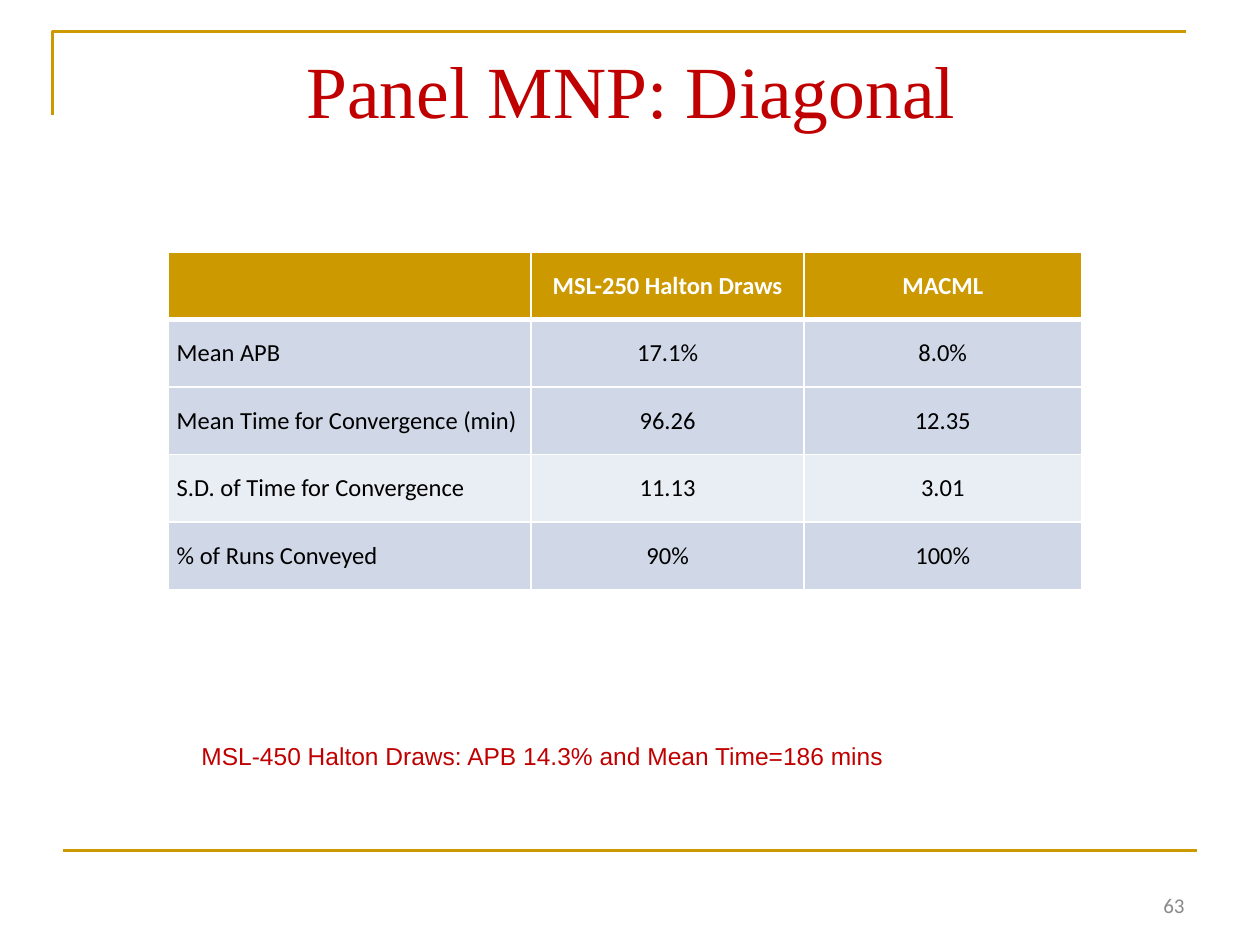
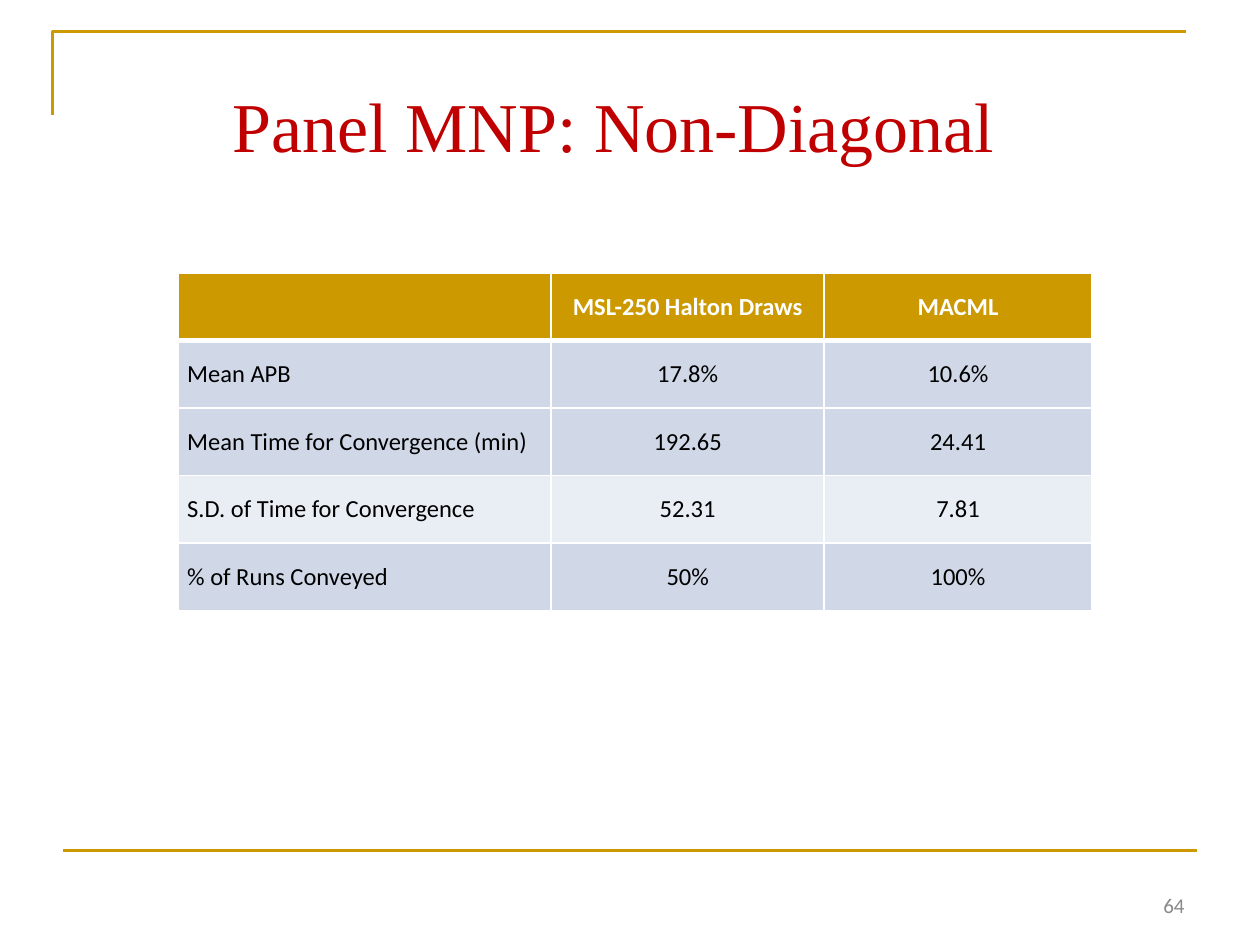
from lxml.etree import SubElement
from pptx import Presentation
from pptx.dml.color import RGBColor
from pptx.enum.shapes import MSO_CONNECTOR as Connector
from pptx.enum.text import MSO_ANCHOR as Anchor, PP_ALIGN as Align
from pptx.oxml.ns import qn
from pptx.util import Pt

# Content
COLORS = {
    "gold": "CC9900",
    "red": "C00000",
    "gray": "898989",
    "white": "FFFFFF",
    "black": "000000",
    "band_dark": "D0D8E8",
    "band_light": "E9EDF4",
}
HEADER = ("", "MSL-250 Halton Draws", "MACML")
ROW_FILLS = ("gold", "band_dark", "band_dark", "band_light", "band_dark")
SLIDES = [
    {
        "title": "Panel MNP: Diagonal",
        "title_at": (168, 17.5, 696, 90),
        "title_size": 42,
        "table_at": (96, 144),
        "columns": (207.5, 156, 158.5),
        "rows": [
            ("Mean APB", "17.1%", "8.0%"),
            ("Mean Time for Convergence (min)", "96.26", "12.35"),
            ("S.D. of Time for Convergence", "11.13", "3.01"),
            ("% of Runs Conveyed", "90%", "100%"),
        ],
        "note": "MSL-450 Halton Draws: APB 14.3% and Mean Time=186 mins",
        "number": "63",
    },
    {
        "title": "Panel MNP: Non-Diagonal",
        "title_at": (126, 39, 768, 90),
        "title_size": 40,
        "table_at": (102, 156),
        "columns": (213, 156, 153),
        "rows": [
            ("Mean APB", "17.8%", "10.6%"),
            ("Mean Time for Convergence (min)", "192.65", "24.41"),
            ("S.D. of Time for Convergence", "52.31", "7.81"),
            ("% of Runs Conveyed", "50%", "100%"),
        ],
        "note": None,
        "number": "64",
    },
]

# Shared layout, in points
ROW_HEIGHT = 38.6
CORNER = ((30, 66), (30, 18), (678, 18))
FOOT_RULE = (36, 486, 684, 486)
NUMBER_AT = (516, 492, 168, 36)
NOTE_AT = (108, 420, 516, 29)
TITLE_INSET = 8.4


def color(name):
    return RGBColor.from_string(COLORS[name])


def style(para, font, size, ink, align=Align.LEFT, bold=False):
    para.alignment = align
    para.font.name = font
    para.font.size = Pt(size)
    para.font.bold = bold
    para.font.color.rgb = color(ink)


def add_text(page, at, text, *look, anchor=Anchor.TOP, inset=3.6):
    frame = page.shapes.add_textbox(*map(Pt, at)).text_frame
    frame.word_wrap = True
    frame.vertical_anchor = anchor
    frame.margin_top = Pt(inset)
    frame.text = text
    style(frame.paragraphs[0], *look)


def gold_line(shape):
    shape.line.color.rgb = color("gold")
    shape.line.width = Pt(1.5)


def add_frame(page):
    start, *rest = [tuple(map(Pt, point)) for point in CORNER]
    builder = page.shapes.build_freeform(*start)
    builder.add_line_segments(rest, close=False)
    corner = builder.convert_to_shape()
    corner.shadow.inherit = False
    corner.fill.background()
    gold_line(corner)
    rule = page.shapes.add_connector(Connector.STRAIGHT, *map(Pt, FOOT_RULE))
    gold_line(rule)
    SubElement(rule._element.spPr, qn("a:effectLst"))


def set_borders(cell, widths):
    properties = cell._tc.get_or_add_tcPr()
    for side, width in widths.items():
        line = SubElement(properties, qn(f"a:ln{side}"), w=str(Pt(width)))
        fill = SubElement(line, qn("a:solidFill"))
        SubElement(fill, qn("a:srgbClr"), val=COLORS["white"])


def add_results(page, at, columns, rows):
    lines = [HEADER, *rows]
    size = (sum(columns), ROW_HEIGHT * len(lines))
    table = page.shapes.add_table(
        len(lines), len(columns), *map(Pt, (*at, *size))).table
    for column, width in zip(table.columns, columns):
        column.width = Pt(width)
    for r, (line, fill) in enumerate(zip(lines, ROW_FILLS)):
        table.rows[r].height = Pt(ROW_HEIGHT)
        head = r == 0
        widths = {"L": 1, "R": 1, "T": 3 if r == 1 else 1, "B": 3 if head else 1}
        for c, text in enumerate(line):
            cell = table.cell(r, c)
            set_borders(cell, widths)
            cell.fill.solid()
            cell.fill.fore_color.rgb = color(fill)
            cell.vertical_anchor = Anchor.MIDDLE
            cell.margin_left = cell.margin_right = Pt(5)
            cell.margin_top = cell.margin_bottom = 0
            cell.text = text
            style(cell.text_frame.paragraphs[0], "Calibri", 14,
                  "white" if head else "black",
                  Align.CENTER if c else Align.LEFT, head)


def main():
    deck = Presentation()
    deck.slide_width, deck.slide_height = Pt(720), Pt(540)
    for item in SLIDES:
        page = deck.slides.add_slide(deck.slide_layouts[6])
        add_frame(page)
        add_text(page, item["title_at"], item["title"], "Times New Roman",
                 item["title_size"], "red", inset=TITLE_INSET)
        add_results(page, item["table_at"], item["columns"], item["rows"])
        add_text(page, NUMBER_AT, item["number"], "Calibri", 12, "gray",
                 Align.RIGHT, anchor=Anchor.BOTTOM)
        if item["note"]:
            add_text(page, NOTE_AT, item["note"], "Arial", 14, "red")
    deck.save("out.pptx")


if __name__ == "__main__":
    main()
